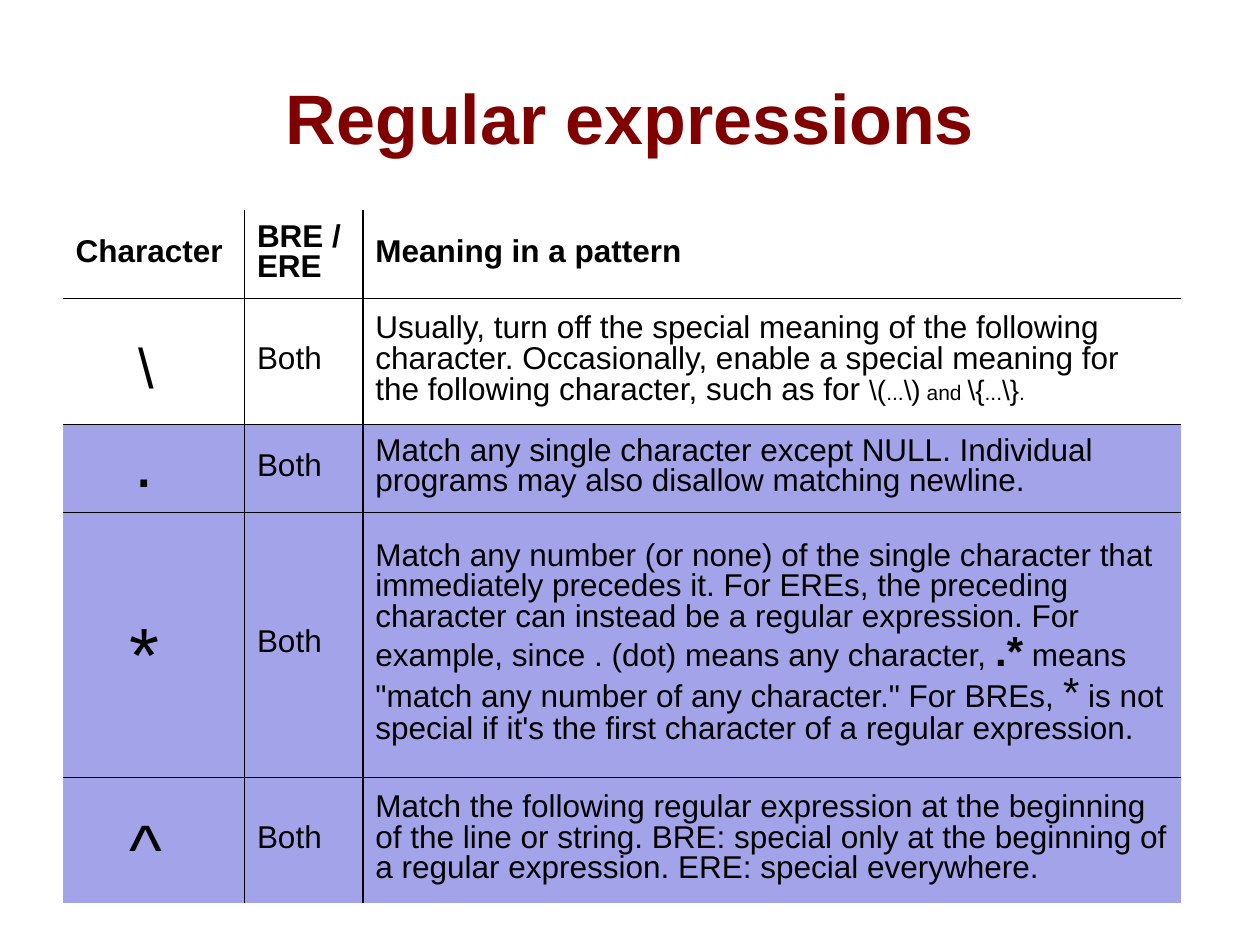
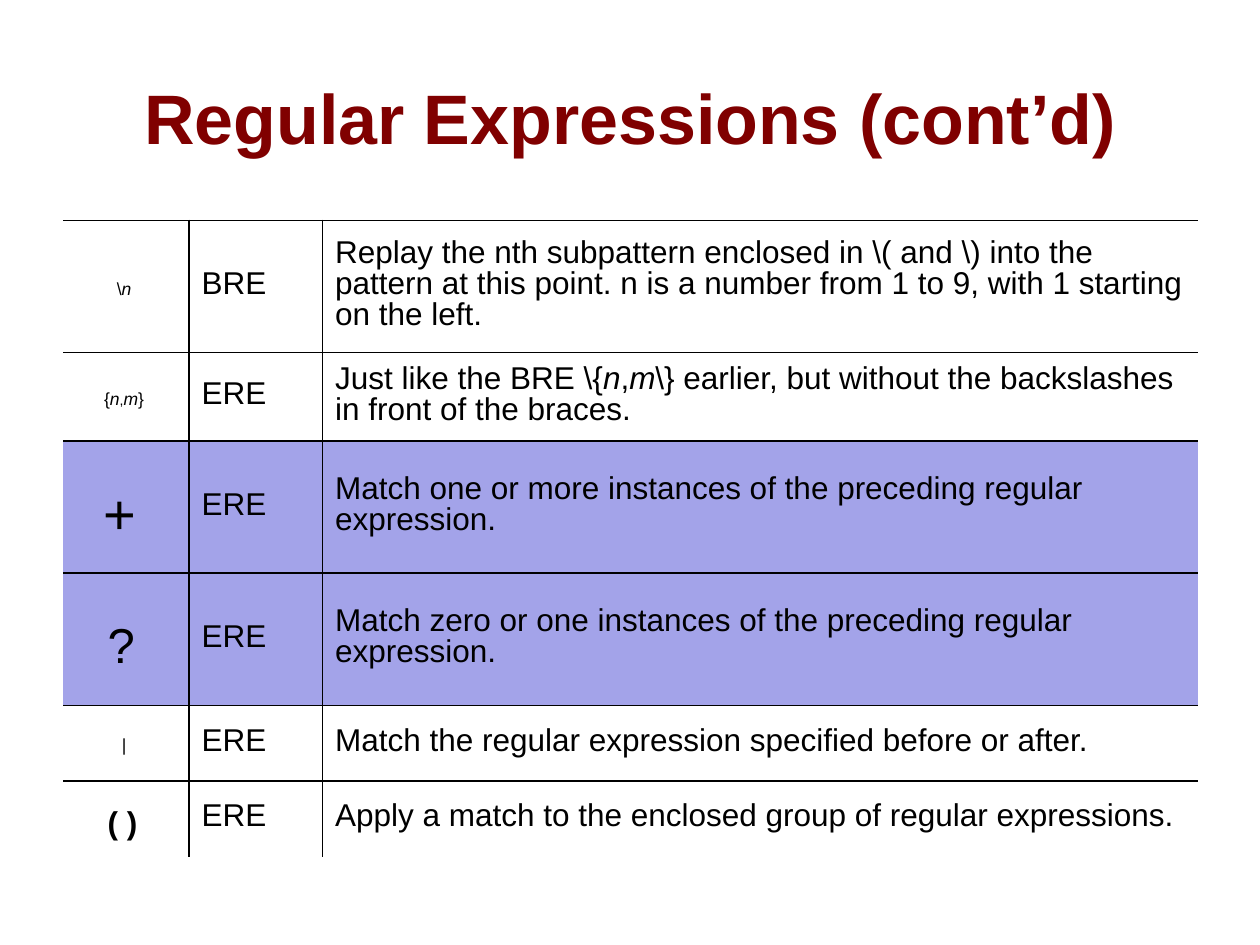
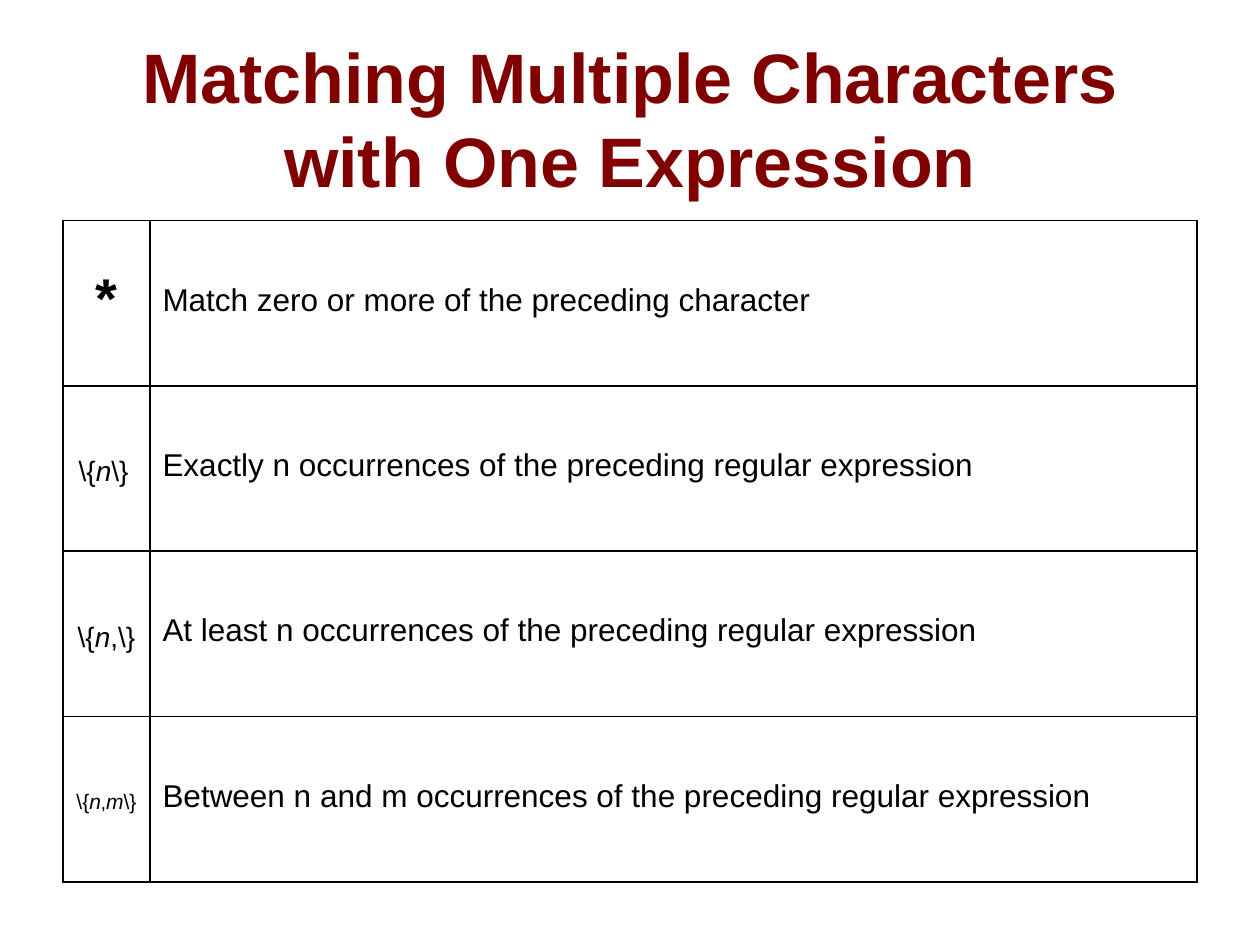
"""Build three slides of tables on regular expressions."""
from dataclasses import dataclass
from typing import NamedTuple, Optional, Union

from lxml import etree
from pptx import Presentation
from pptx import util as u
from pptx.dml.color import RGBColor
from pptx.enum import text
from pptx.oxml.ns import qn

FONT = "Arial"
MAROON, BLACK, LILAC = "800000", "000000", "A3A3E9"
SLIDE_WIDTH, SLIDE_HEIGHT = u.Inches(10), u.Inches(7.5)
MARGIN = 5
RULE_WIDTH = u.Pt(0.99)
TIGHT, LOOSE = 0.87, 1.25


class Run(NamedTuple):
    """A stretch of text in one style."""
    words: str
    size: float = 18
    bold: bool = False
    italic: bool = False


Line = Union[str, tuple[Run, ...]]


@dataclass(frozen=True)
class Entry:
    """The paragraphs of one table cell."""
    lines: tuple[Line, ...]
    centred: bool = False
    spacing: float = TIGHT


@dataclass(frozen=True)
class Row:
    """A table row, its height in percent of the slide."""
    height: float
    entries: tuple[Entry, ...]
    fill: Optional[str] = None


@dataclass(frozen=True)
class Page:
    """A titled table, measured in percent of the slide."""
    title: str
    columns: tuple[float, ...]
    rows: tuple[Row, ...]
    top: float = 23.33
    title_top: float = 4
    title_height: float = 16.67
    outer_rules: str = ""


def across(percent: float) -> int:
    """Turn a share of the slide's width into a length."""
    return round(SLIDE_WIDTH * percent / 100)


def down(percent: float) -> int:
    """Turn a share of the slide's height into a length."""
    return round(SLIDE_HEIGHT * percent / 100)


def colour(code: str) -> RGBColor:
    """Turn a hex string into a colour."""
    return RGBColor.from_string(code)


def symbol(*runs: Run, spacing: float = LOOSE) -> Entry:
    """Make a centred entry for a pattern character."""
    return Entry((runs,), True, spacing)


def prose(*lines: Line) -> Entry:
    """Make a left-aligned entry."""
    return Entry(lines)


def heading(*lines: str) -> Entry:
    """Make a bold column heading."""
    return Entry(tuple((Run(line, bold=True),) for line in lines))


def write_line(paragraph, line: Line, hue: str = BLACK) -> None:
    """Write runs, keeping only differences from the first on each run."""
    runs = (Run(line),) if isinstance(line, str) else line
    lead, font = runs[0], paragraph.font
    font.name, font.size = FONT, u.Pt(lead.size)
    font.bold, font.italic = lead.bold, lead.italic
    font.color.rgb = colour(hue)
    for part in runs:
        run = paragraph.add_run()
        run.text = part.words
        if part.size != lead.size:
            run.font.size = u.Pt(part.size)
        if part.bold != lead.bold:
            run.font.bold = part.bold
        if part.italic != lead.italic:
            run.font.italic = part.italic


def rule_cell(cell, sides: str) -> None:
    """Rule the given sides (of L, R, T, B) and clear the others."""
    properties = cell._tc.get_or_add_tcPr()
    for side in "LRTB":
        edge = etree.SubElement(properties, qn(f"a:ln{side}"), w=str(RULE_WIDTH))
        if side in sides:
            paint = etree.SubElement(edge, qn("a:solidFill"))
            etree.SubElement(paint, qn("a:srgbClr"), val=BLACK)
        else:
            etree.SubElement(edge, qn("a:noFill"))


def fill_cell(cell, entry: Entry, sides: str, fill: Optional[str]) -> None:
    """Write, rule and colour one cell."""
    cell.vertical_anchor = text.MSO_ANCHOR.MIDDLE
    cell.margin_left = cell.margin_right = u.Inches(0.1)
    cell.margin_top = u.Inches(0.05 if entry.spacing == LOOSE else 0.03)
    cell.margin_bottom = u.Inches(0.05)
    rule_cell(cell, sides)
    if fill:
        cell.fill.solid()
        cell.fill.fore_color.rgb = colour(fill)
    else:
        cell.fill.background()
    frame = cell.text_frame
    for index, line in enumerate(entry.lines):
        paragraph = frame.add_paragraph() if index else frame.paragraphs[0]
        paragraph.line_spacing = entry.spacing
        if entry.centred:
            paragraph.alignment = text.PP_ALIGN.CENTER
        write_line(paragraph, line)


def draw_title(slide, page: Page) -> None:
    """Draw the centred maroon title."""
    frame = slide.shapes.add_textbox(
        across(MARGIN), down(page.title_top),
        across(100 - 2 * MARGIN), down(page.title_height)).text_frame
    frame.word_wrap = True
    frame.vertical_anchor = text.MSO_ANCHOR.MIDDLE
    frame.paragraphs[0].alignment = text.PP_ALIGN.CENTER
    write_line(frame.paragraphs[0], (Run(page.title, 40, True),), MAROON)


def draw_table(slide, page: Page) -> None:
    """Draw the table with inner rules and the page's outer rules."""
    row_count, column_count = len(page.rows), len(page.columns)
    table = slide.shapes.add_table(
        row_count, column_count, across(MARGIN), down(page.top),
        across(sum(page.columns)),
        down(sum(row.height for row in page.rows))).table
    table.first_row = table.horz_banding = False
    for column, width in zip(table.columns, page.columns):
        column.width = across(width)
    for r, row in enumerate(page.rows):
        table.rows[r].height = down(row.height)
        for c, entry in enumerate(row.entries):
            on_edge = {"L": c == 0, "R": c == column_count - 1,
                       "T": r == 0, "B": r == row_count - 1}
            sides = "".join(side for side, outer in on_edge.items()
                            if not outer or side in page.outer_rules)
            fill_cell(table.cell(r, c), entry, sides, row.fill)


BOTH, BRE, ERE = prose("Both "), prose("BRE "), prose("ERE ")

BASICS = Page("Regular expressions", (14.4, 9.4, 64.9), (
    Row(9.33, (heading("Character "), heading("BRE / ", "ERE "),
               heading("Meaning in a pattern "))),
    Row(13.33, (symbol(Run("\\ ", 32)), BOTH, prose(
        "Usually, turn off the special meaning of the following",
        "character. Occasionally, enable a special meaning for",
        (Run("the following character, such as for "),
         Run("\\(", 16), Run("...", 12), Run("\\)", 16), Run(" and ", 12),
         Run("\\{", 16), Run("...", 12), Run("\\}", 16), Run(". ", 12))))),
    Row(9.33, (symbol(Run(". ", 40), spacing=TIGHT), BOTH, prose(
        "Match any single character except NULL. Individual",
        "programs may also disallow matching newline. ")), LILAC),
    Row(28, (symbol(Run("*", 44), Run(" ", 36)), BOTH, prose(
        "Match any number (or none) of the single character that",
        "immediately precedes it. For EREs, the preceding",
        "character can instead be a regular expression. For",
        (Run("example, since . (dot) means any character, "),
         Run(".*", 24, True), Run(" means")),
        (Run('"match any number of any character." For BREs, '),
         Run("*", 24), Run(" is not")),
        "special if it's the first character of a regular expression.")), LILAC),
    Row(13.33, (symbol(Run("^", 40), Run(" ", 32)), BOTH, prose(
        "Match the following regular expression at the beginning",
        "of the line or string. BRE: special only at the beginning of",
        "a regular expression. ERE: special everywhere. ")), LILAC),
), top=22.27)

CONTINUED = Page("Regular Expressions (cont’d)", (10, 10.6, 69.5), (
    Row(14, (symbol(Run("\\", 10), Run("n", 10, italic=True), Run(" ", 8)), BRE, prose(
        "Replay the nth subpattern enclosed in \\( and \\) into the pattern at this "
        "point. n is a number from 1 to 9, with 1 starting on the left. "))),
    Row(9.33, (symbol(Run("{", 10), Run("n", 10, italic=True), Run(",", 8),
                      Run("m", 10, italic=True), Run("}", 10), Run(" ", 8)), ERE, prose(
        (Run("Just like the BRE \\{"), Run("n", italic=True), Run(","),
         Run("m", italic=True),
         Run("\\} earlier, but without the backslashes in front of the braces. "))))),
    Row(14, (symbol(Run("+", 32), Run(" ", 24)), ERE, prose(
        "Match one or more instances of the preceding regular expression. ")), LILAC),
    Row(14, (symbol(Run("?", 28), Run(" ", 20)), ERE, prose(
        "Match zero or one instances of the preceding regular expression. ")), LILAC),
    Row(8, (symbol(Run("|", 10), Run(" ", 8)), ERE, prose(
        "Match the regular expression specified before or after. "))),
    Row(8, (symbol(Run("( )", bold=True), Run(" ", 14, True)), ERE, prose(
        "Apply a match to the enclosed group of regular expressions."))),
), outer_rules="T")

REPEATS = (
    (symbol(Run("*", 32, True), spacing=TIGHT),
     "Match zero or more of the preceding character"),
    (symbol(Run("\\{", 16), Run("n", 16, italic=True), Run("\\}", 16), Run(" ", 12)),
     "Exactly n occurrences of the preceding regular expression "),
    (symbol(Run("\\{", 16), Run("n", 16, italic=True), Run(",\\}", 16), Run(" ", 12)),
     "At least n occurrences of the preceding regular expression "),
    (symbol(Run("\\{", 12), Run("n", 12, italic=True), Run(",", 10.5),
            Run("m", 12, italic=True), Run("\\}", 12), Run(" ", 10.5)),
     "Between n and m occurrences of the preceding regular expression"),
)

MULTIPLE = Page(
    "Matching Multiple Characters with One Expression", (6.9, 83.1),
    tuple(Row(17.5, (sign, prose(meaning))) for sign, meaning in REPEATS),
    title_top=2.8, title_height=19.2, outer_rules="LRTB")


def main() -> None:
    """Build and save the slides."""
    deck = Presentation()
    deck.slide_width, deck.slide_height = SLIDE_WIDTH, SLIDE_HEIGHT
    for page in (BASICS, CONTINUED, MULTIPLE):
        slide = deck.slides.add_slide(deck.slide_layouts[6])
        draw_title(slide, page)
        draw_table(slide, page)
    deck.save("out.pptx")


main()
